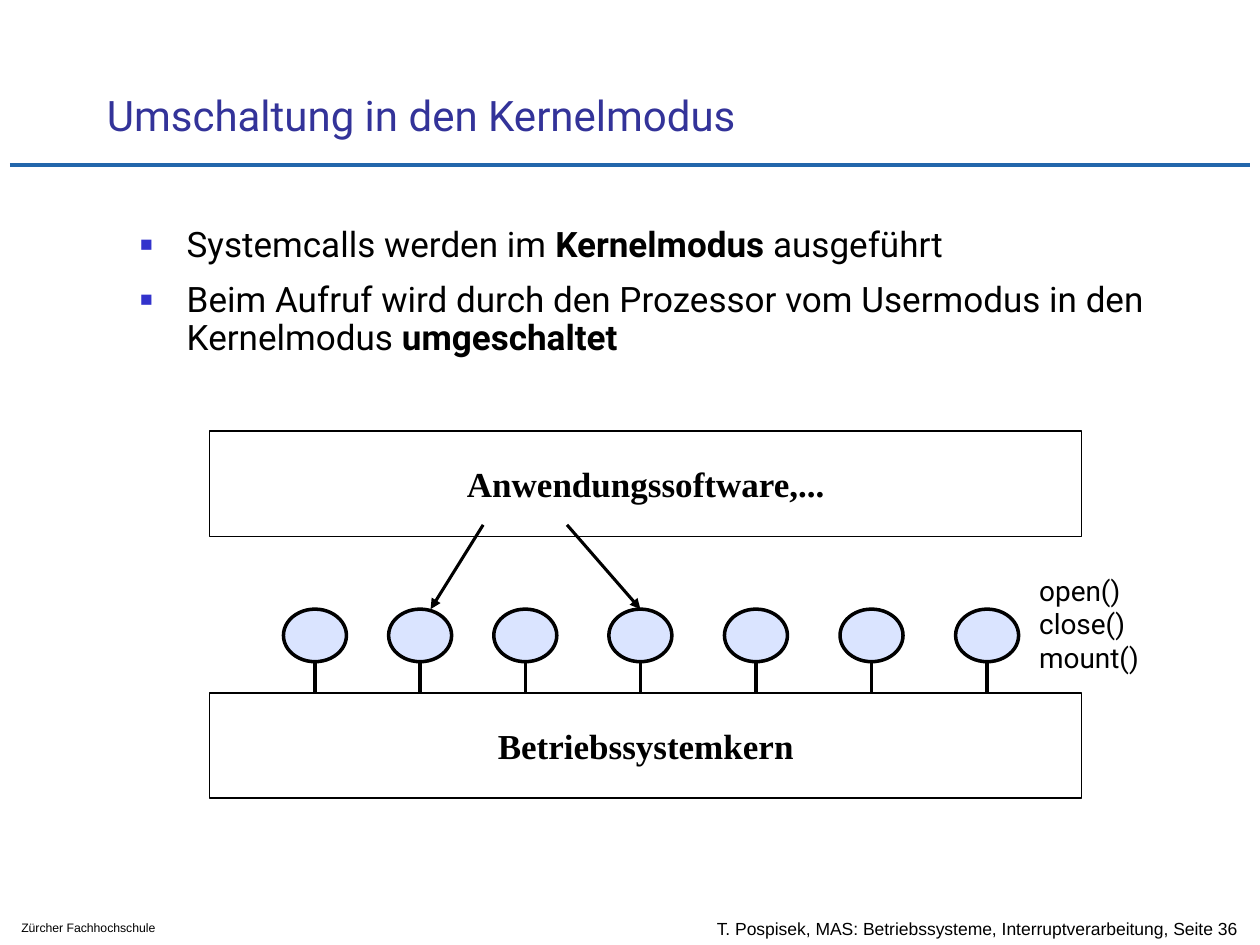
"""Build the slide on switching into kernel mode."""
from lxml.etree import SubElement
from pptx import Presentation
from pptx.dml.color import RGBColor
from pptx.enum.shapes import MSO_CONNECTOR, MSO_SHAPE
from pptx.enum.text import MSO_ANCHOR, MSO_AUTO_SIZE, PP_ALIGN
from pptx.oxml.ns import qn
from pptx.util import Cm, Pt

BLACK = RGBColor(0x00, 0x00, 0x00)
WHITE = RGBColor(0xFF, 0xFF, 0xFF)
TITLE_BLUE = RGBColor(0x33, 0x33, 0x99)
RULE_BLUE = RGBColor(0x22, 0x66, 0xAB)
BULLET_BLUE = RGBColor(0x33, 0x33, 0xCC)
CALL_BLUE = RGBColor(0xDA, 0xE4, 0xFF)

TITLE = "Umschaltung in den Kernelmodus"
BULLETS = [
    [("Systemcalls werden im ", False), ("Kernelmodus", True), (" ausgeführt", False)],
    [("Beim Aufruf wird durch den Prozessor vom Usermodus in den Kernelmodus ", False),
     ("umgeschaltet", True)],
]
LAYERS = [("Anwendungssoftware,...", 8.69), ("Betriebssystemkern", 13.97)]
CALLS = ["open()", "close()", "mount()"]
FOOTERS = [
    ("T. Pospisek, MAS: Betriebssysteme, Interruptverarbeitung, Seite 36",
     (14.2, 18.29, 11.18, 0.84), 10, MSO_ANCHOR.MIDDLE),
    ("Zürcher Fachhochschule", (0.18, 18.42, 4.37, 0.56), 7, MSO_ANCHOR.TOP),
]
ARROWS = [((9.74, 10.58), (8.68, 12.28)), ((11.43, 10.58), (12.91, 12.28))]

LAYER_LEFT, LAYER_WIDTH, LAYER_HEIGHT = 4.23, 17.58, 2.12
CALL_WIDTH, CALL_HEIGHT, CALL_TOP = 1.27, 1.06, 12.28
CALL_CENTRES = ([6.35 + 2.12 * index for index in range(3)]
                + [12.91 + 2.33 * index for index in range(4)])

TITLE_FONT = {"name": "Roboto", "size": Pt(24), "bold": False}
BODY_FONT = {"name": "Roboto", "size": Pt(20)}
LAYER_FONT = {"name": "Times New Roman", "size": Pt(20), "bold": True}
CALL_FONT = {"name": "Roboto", "size": Pt(16)}


def set_font(font, formats, color=BLACK):
    for name, value in formats.items():
        setattr(font, name, value)
    font.color.rgb = color


def place(shape, *box):
    for name, value in zip(("left", "top", "width", "height"), box):
        setattr(shape, name, Cm(value))


def set_frame(shape, anchor, wrap=True):
    frame = shape.text_frame
    formats = {"auto_size": MSO_AUTO_SIZE.NONE, "word_wrap": wrap,
               "vertical_anchor": anchor}
    for name, value in formats.items():
        setattr(frame, name, value)
    return frame


def add_shape(slide, kind, box, fill, line_width=None):
    shape = slide.shapes.add_shape(kind, *map(Cm, box))
    shape.shadow.inherit = False
    shape.fill.solid()
    shape.fill.fore_color.rgb = fill
    if line_width:
        shape.line.color.rgb = BLACK
        shape.line.width = Pt(line_width)
    else:
        shape.line.fill.background()
    return shape


def add_line(slide, start, end, width, color=BLACK, arrow=False):
    line = slide.shapes.add_connector(MSO_CONNECTOR.STRAIGHT, *map(Cm, start + end))
    line.line.color.rgb = color
    line.line.width = Pt(width)
    if arrow:
        SubElement(line.line._get_or_add_ln(), qn("a:tailEnd"), type="triangle")
    SubElement(line._element.spPr, qn("a:effectLst"))


def add_bullet(paragraph):
    properties = paragraph._p.get_or_add_pPr()
    properties.set("marL", str(Cm(0.97)))
    properties.set("indent", str(-Cm(0.94)))
    color = SubElement(properties, qn("a:buClr"))
    SubElement(color, qn("a:srgbClr"), val=str(BULLET_BLUE))
    SubElement(properties, qn("a:buSzPct"), val="60000")
    SubElement(properties, qn("a:buFont"), typeface="Arial")
    SubElement(properties, qn("a:buChar"), char="■")


def fill_title(slide):
    title = slide.shapes.title
    place(title, 1.9, 1.12, 21.64, 1.83)
    paragraph = set_frame(title, MSO_ANCHOR.BOTTOM).paragraphs[0]
    paragraph.text = TITLE
    paragraph.alignment = PP_ALIGN.LEFT
    set_font(paragraph.runs[0].font, TITLE_FONT, TITLE_BLUE)


def fill_body(slide):
    body = slide.placeholders[1]
    place(body, 2.54, 4.45, 21.59, 2.54)
    frame = set_frame(body, MSO_ANCHOR.TOP)
    for index, parts in enumerate(BULLETS):
        paragraph = frame.add_paragraph() if index else frame.paragraphs[0]
        paragraph.line_spacing = 0.9
        paragraph.space_before = Pt(10 if index else 0)
        add_bullet(paragraph)
        for text, bold in parts:
            run = paragraph.add_run()
            run.text = text
            set_font(run.font, BODY_FONT | {"bold": bold})


def add_diagram(slide):
    for text, top in LAYERS:
        layer = add_shape(slide, MSO_SHAPE.RECTANGLE,
                          (LAYER_LEFT, top, LAYER_WIDTH, LAYER_HEIGHT), WHITE, 0.75)
        paragraph = set_frame(layer, MSO_ANCHOR.MIDDLE, False).paragraphs[0]
        paragraph.text = text
        paragraph.alignment = PP_ALIGN.CENTER
        set_font(paragraph.runs[0].font, LAYER_FONT)
    kernel_top = LAYERS[1][1]
    for centre in CALL_CENTRES:
        add_shape(slide, MSO_SHAPE.OVAL,
                  (centre - CALL_WIDTH / 2, CALL_TOP, CALL_WIDTH, CALL_HEIGHT),
                  CALL_BLUE, 2)
        add_line(slide, (centre, CALL_TOP + CALL_HEIGHT), (centre, kernel_top), 2)
    for start, end in ARROWS:
        add_line(slide, start, end, 1.75, arrow=True)
    label = add_shape(slide, MSO_SHAPE.RECTANGLE, (20.7, 11.43, 2.62, 2.29), WHITE)
    frame = set_frame(label, MSO_ANCHOR.TOP, False)
    frame.text = "\n".join(CALLS)
    for paragraph in frame.paragraphs:
        paragraph.alignment = PP_ALIGN.LEFT
        set_font(paragraph.runs[0].font, CALL_FONT)


def add_footers(slide):
    for text, box, size, anchor in FOOTERS:
        footer = slide.shapes.add_textbox(*map(Cm, box))
        paragraph = set_frame(footer, anchor).paragraphs[0]
        paragraph.text = text
        set_font(paragraph.runs[0].font, {"name": "Arial", "size": Pt(size)})


def main():
    presentation = Presentation()
    presentation.slide_width = Cm(25.4)
    presentation.slide_height = Cm(19.05)
    slide = presentation.slides.add_slide(presentation.slide_layouts[1])
    add_line(slide, (0.2, 3.33), (25.2, 3.33), 2.5, RULE_BLUE)
    add_footers(slide)
    fill_title(slide)
    fill_body(slide)
    add_diagram(slide)
    presentation.save("out.pptx")


if __name__ == "__main__":
    main()
